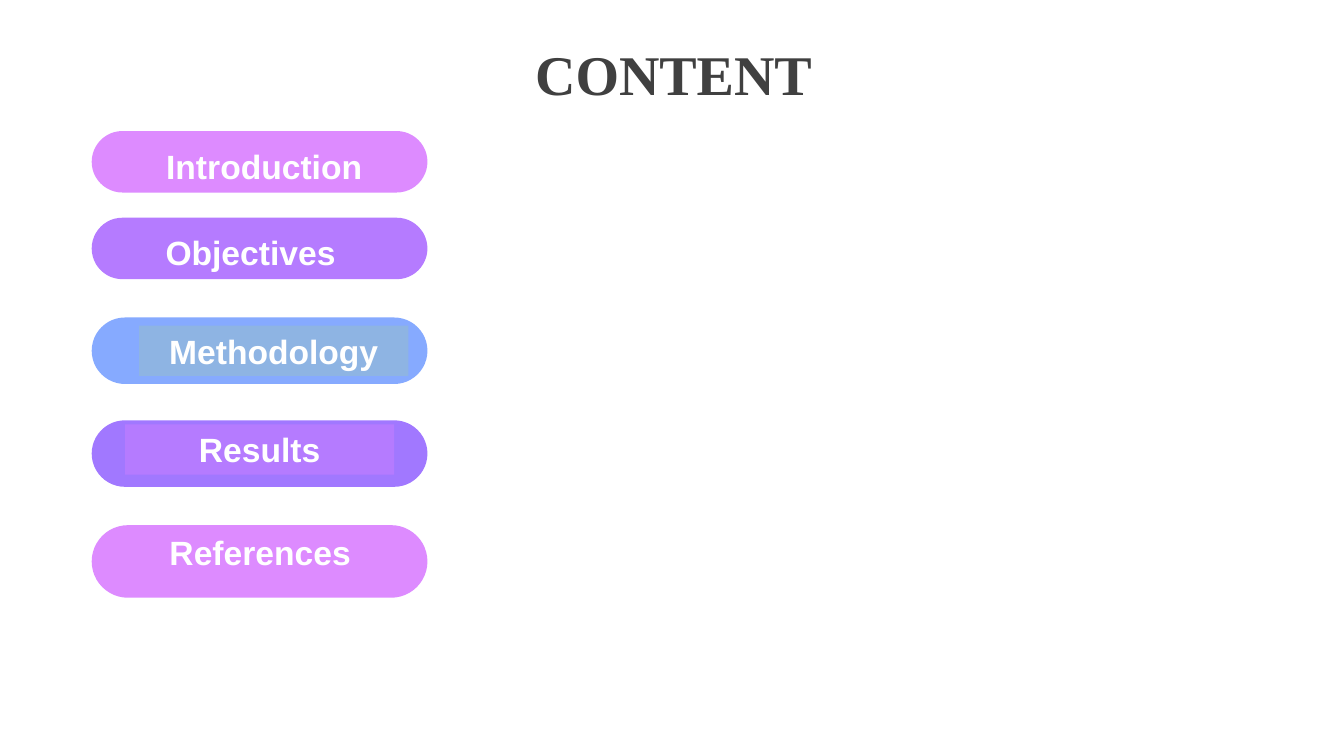
from dataclasses import dataclass

from pptx import Presentation
from pptx.dml.color import RGBColor
from pptx.enum.shapes import MSO_SHAPE
from pptx.enum.text import MSO_ANCHOR, PP_ALIGN
from pptx.shapes.base import BaseShape
from pptx.slide import Slide
from pptx.util import Inches, Pt

WHITE = RGBColor(0xFF, 0xFF, 0xFF)
CHARCOAL = RGBColor(0x40, 0x40, 0x40)
PINK = RGBColor(0xDD, 0x8B, 0xFF)
PURPLE = RGBColor(0xB5, 0x7B, 0xFF)
VIOLET = RGBColor(0xA1, 0x78, 0xFF)
BLUE = RGBColor(0x86, 0xAA, 0xFF)
PALE_BLUE = RGBColor(0x8E, 0xB4, 0xE3)

PILL_LEFT, PILL_WIDTH = 0.91, 3.33
LABEL_HEIGHT = 0.5


@dataclass(frozen=True)
class Topic:
    name: str
    top: float
    height: float
    color: RGBColor
    label_left: float
    label_top: float
    label_width: float
    label_color: RGBColor


TOPICS = [
    Topic("Introduction", 1.3, 0.61, PINK, 1.48, 1.4, 2.28, PINK),
    Topic("Objectives", 2.16, 0.61, PURPLE, 1.15, 2.25, 2.67, PURPLE),
    Topic("Methodology", 3.15, 0.66, BLUE, 1.38, 3.23, 2.67, PALE_BLUE),
    Topic("Results", 4.17, 0.66, VIOLET, 1.24, 4.21, 2.67, PURPLE),
    Topic("References", 5.21, 0.72, PINK, 1.56, 5.23, 2.04, PINK),
]


def write_text(box: BaseShape, text: str, *, font: str = "Arial", size: float = 24,
               color: RGBColor = WHITE, anchor: MSO_ANCHOR = MSO_ANCHOR.TOP,
               line_spacing: float = 1.0, space_before: float = 0) -> None:
    """Write one bold, centred paragraph into a box."""
    frame = box.text_frame
    frame.word_wrap = True
    frame.vertical_anchor = anchor
    para = frame.paragraphs[0]
    para.alignment = PP_ALIGN.CENTER
    para.line_spacing = line_spacing
    para.space_before = Pt(space_before)
    span = para.add_run()
    span.text = text
    span.font.name = font
    span.font.size = Pt(size)
    span.font.bold = True
    span.font.color.rgb = color


def add_title(page: Slide, text: str) -> None:
    title = page.shapes.title
    title.left, title.top = Inches(0.35), Inches(0.37)
    title.width, title.height = Inches(12.66), Inches(0.79)
    write_text(title, text, font="Times New Roman", size=40, color=CHARCOAL,
               anchor=MSO_ANCHOR.MIDDLE, line_spacing=0.9, space_before=10)


def add_topic(page: Slide, topic: Topic) -> None:
    # Rounded pill
    pill = page.shapes.add_shape(
        MSO_SHAPE.ROUNDED_RECTANGLE, Inches(PILL_LEFT), Inches(topic.top),
        Inches(PILL_WIDTH), Inches(topic.height))
    pill.adjustments[0] = 0.5
    pill.shadow.inherit = False
    pill.fill.solid()
    pill.fill.fore_color.rgb = topic.color
    pill.line.fill.background()

    # Filled label on the pill
    label = page.shapes.add_textbox(
        Inches(topic.label_left), Inches(topic.label_top),
        Inches(topic.label_width), Inches(LABEL_HEIGHT))
    label.fill.solid()
    label.fill.fore_color.rgb = topic.label_color
    write_text(label, topic.name)


def main() -> None:
    deck = Presentation()
    deck.slide_width, deck.slide_height = Inches(13.33), Inches(7.5)
    page = deck.slides.add_slide(deck.slide_layouts.get_by_name("Title Only"))
    add_title(page, "CONTENT")
    for topic in TOPICS:
        add_topic(page, topic)
    deck.save("out.pptx")


if __name__ == "__main__":
    main()
